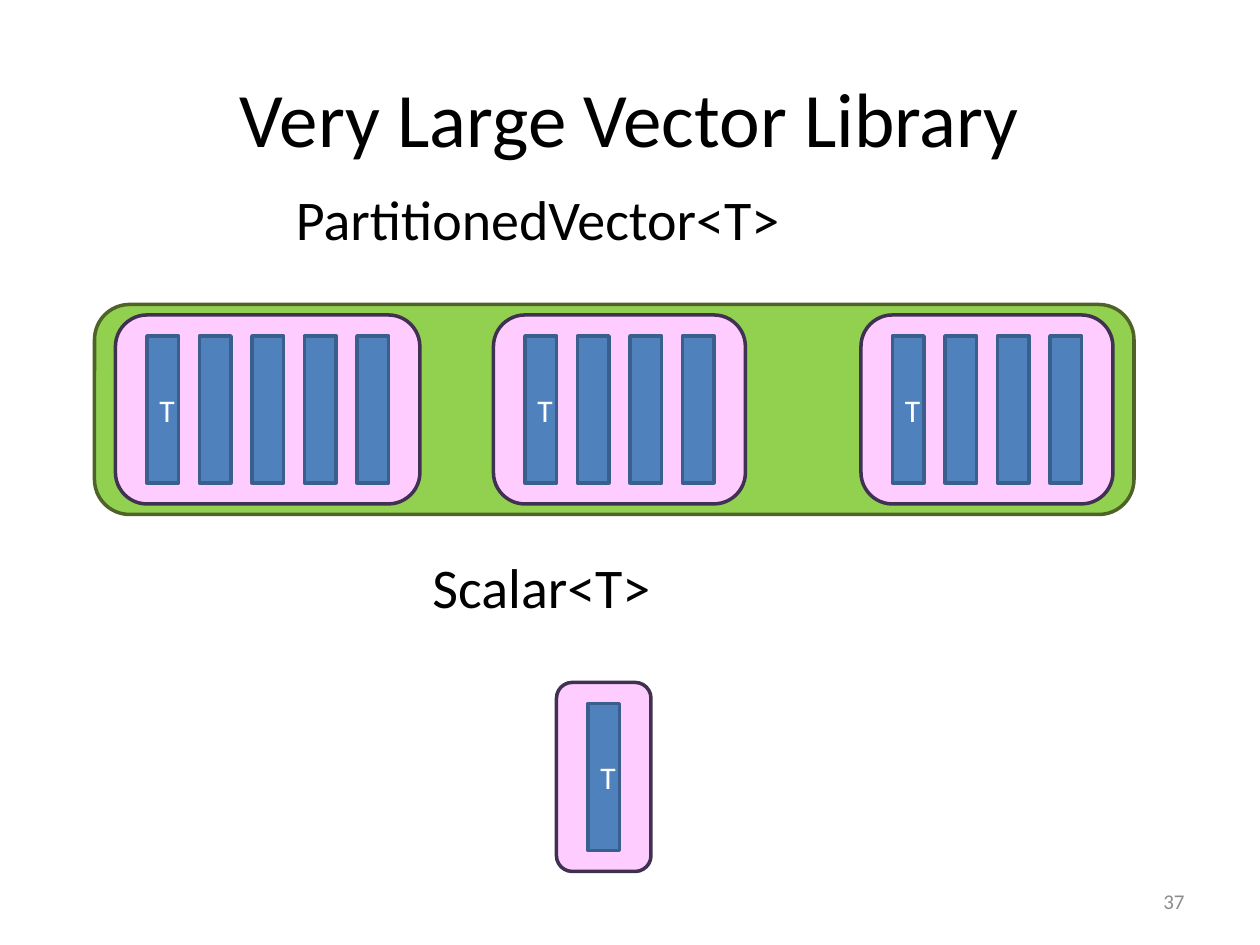
import pptx
import pptx.util
import pptx.dml.color
import pptx.enum.shapes
import pptx.enum.text

Shape = pptx.enum.shapes.MSO_SHAPE
Align = pptx.enum.text.PP_ALIGN
Anchor = pptx.enum.text.MSO_ANCHOR
color = pptx.dml.color.RGBColor.from_string

THEME = {
    "font": "Calibri",
    "title": 44, "label": 32, "element": 18, "number": 12,
    "text": "000000", "muted": "8C8C8C", "light": "FFFFFF",
    "vector": ("92D050", "4F6228"),
    "partition": ("FFCCFF", "403152"),
    "bar": ("4F81BD", "3A5F8C"),
    "line": 2,
}

deck = pptx.Presentation()
deck.slide_width = pptx.util.Inches(10)
deck.slide_height = pptx.util.Inches(7.5)
CELL = deck.slide_width / 120  # the page is a grid of 120 columns by 90 rows
page = deck.slides.add_slide(deck.slide_layouts[5])


def write(shape, text, size, ink, align, anchor):
    frame = shape.text_frame
    frame.word_wrap = True
    frame.vertical_anchor = anchor
    para = frame.paragraphs[0]
    para.text = text
    para.alignment = align
    para.font.name = THEME["font"]
    para.font.size = pptx.util.Pt(THEME[size])
    para.font.color.rgb = color(THEME[ink])


def block(kind, style, *cells):
    """Draw a filled, outlined shape at column, row, width and height in cells."""
    shape = page.shapes.add_shape(kind, *(round(n * CELL) for n in cells))
    fill, line = THEME[style]
    shape.shadow.inherit = False
    shape.fill.solid()
    shape.fill.fore_color.rgb = color(fill)
    shape.line.color.rgb = color(line)
    shape.line.width = pptx.util.Pt(THEME["line"])
    return shape


title = page.shapes.title
title.left, title.top, title.width, title.height = (
    round(n * CELL) for n in (6, 3.6, 108, 15))
write(title, "Very Large Vector Library", "title", "text", Align.CENTER, Anchor.MIDDLE)

# Text, size, ink, alignment, anchor, then column, row, width and height
for text, size, ink, align, anchor, *cells in [
    ("PartitionedVector<T>", "label", "text", Align.LEFT, Anchor.TOP, 27, 17, 49, 9),
    ("Scalar<T>", "label", "text", Align.LEFT, Anchor.TOP, 40, 52, 27, 7.7),
    ("37", "number", "muted", Align.RIGHT, Anchor.MIDDLE, 86, 83.4, 28, 4.8),
]:
    box = page.shapes.add_textbox(*(round(n * CELL) for n in cells))
    write(box, text, size, ink, align, anchor)

block(Shape.ROUNDED_RECTANGLE, "vector", 9, 29, 99, 20)

# Three partitions of the vector, then the scalar: column, row, number of bars
BAR_WIDTH, BAR_PITCH, MARGIN = 3, 5, 3
for column, row, bars in [(11, 30, 5), (47, 30, 4), (82, 30, 4), (53, 65, 1)]:
    width = 2 * MARGIN + BAR_WIDTH + (bars - 1) * BAR_PITCH
    block(Shape.ROUNDED_RECTANGLE, "partition", column, row, width, 18)
    for i in range(bars):
        bar = block(Shape.RECTANGLE, "bar",
                    column + MARGIN + i * BAR_PITCH, row + 2, BAR_WIDTH, 14)
        if i == 0:
            write(bar, "T", "element", "light", Align.CENTER, Anchor.MIDDLE)

deck.save("out.pptx")
